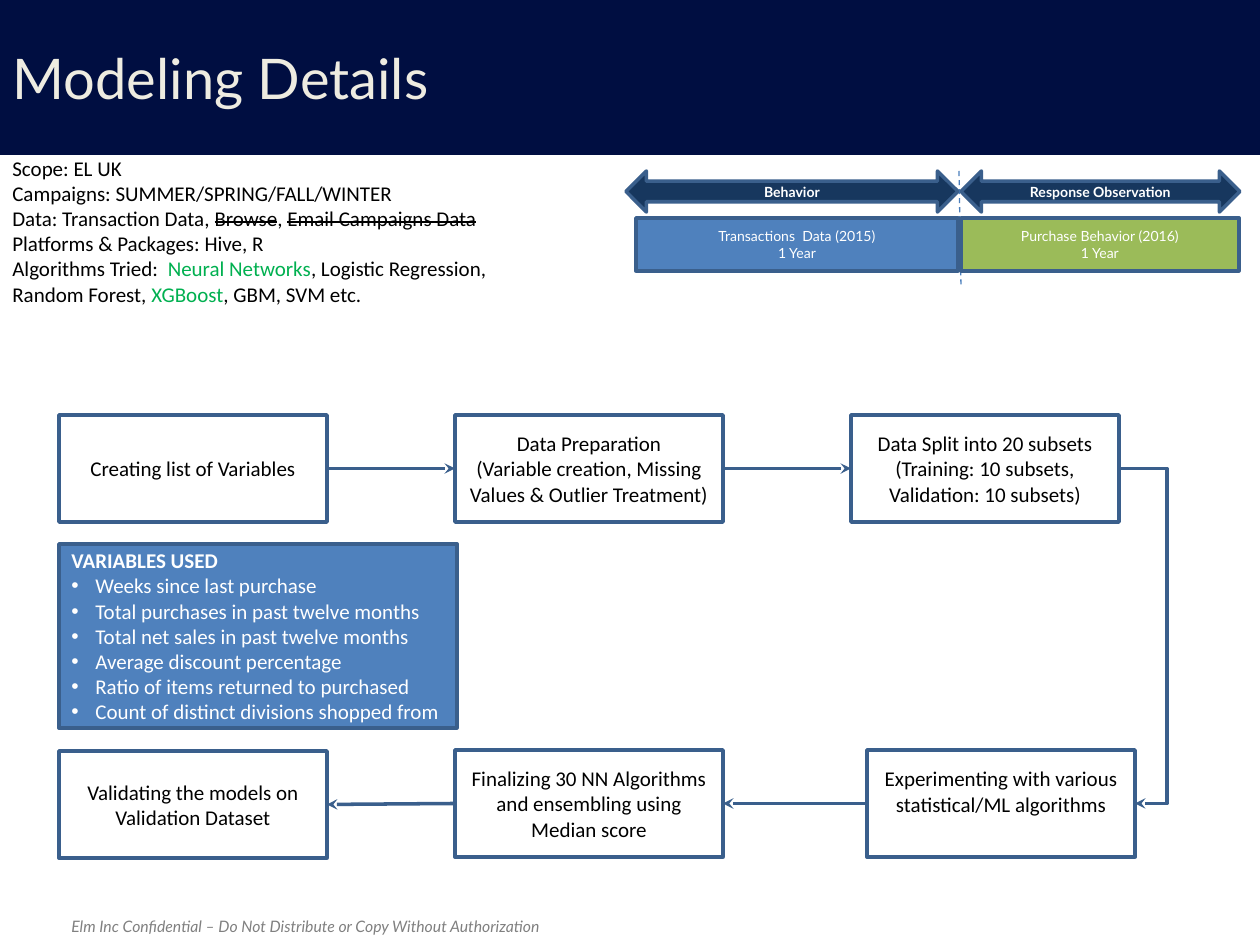
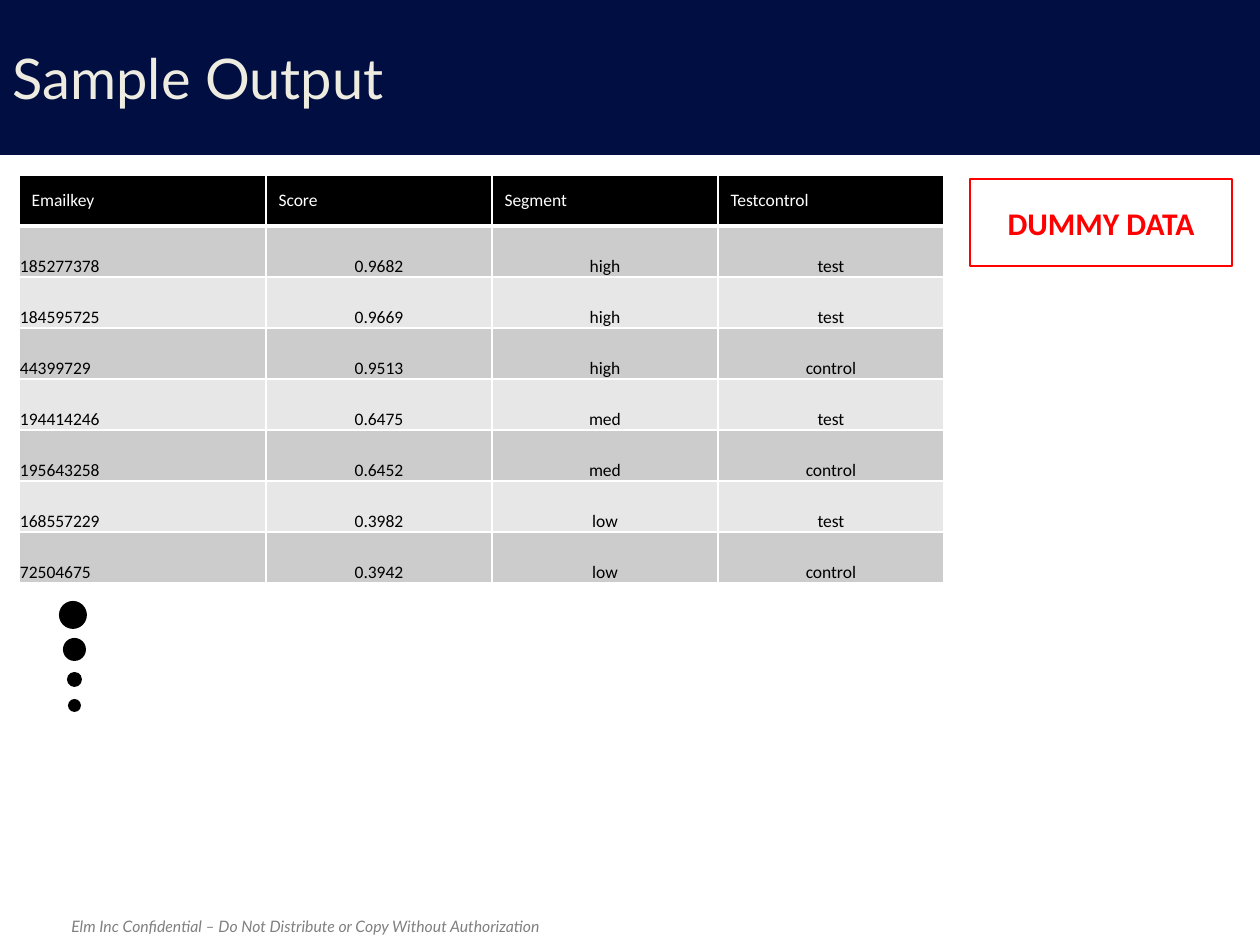
from lxml import etree
from pptx import Presentation
from pptx.dml.color import RGBColor
from pptx.enum.dml import MSO_LINE as Dash
from pptx.enum.shapes import MSO_CONNECTOR as Conn, MSO_SHAPE as Geo
from pptx.enum.text import MSO_ANCHOR as Anchor, PP_ALIGN as Align
from pptx.oxml.ns import qn
from pptx.util import Emu, Pt

SCALE = 914400 / 126
NAVY, CREAM, GREY = "000E41", "EEECE1", "808080"
EDGE, BLUE, DEEP, OLIVE = "3A5F8C", "4F81BD", "17375E", "9BBB59"
BLACK, WHITE, GREEN, RED = "000000", "FFFFFF", "00B050", "FF0000"
FOOTER = "Elm Inc Confidential – Do Not Distribute or Copy Without Authorization"
BODY = {"name": "Calibri", "size": Pt(12)}
SMALL = {"name": "Lato", "size": Pt(8)}
BOX_W, BOX_H = 268, 107
LEFT, STEP = 59, 396
TOP_ROW, LOW_ROW = 415, 750


def px(n):
    return Emu(round(n * SCALE))


def rgb(code):
    return RGBColor.from_string(code)


def apply(item, vals):
    for key, val in vals.items():
        setattr(item, key, val)


def sub(parent, tag, **attrs):
    return etree.SubElement(parent, qn(tag), attrs)


def write(frame, paras, font, color=BLACK, align=Align.LEFT, anchor=Anchor.MIDDLE):
    apply(frame, {"word_wrap": True, "vertical_anchor": anchor})
    for i, runs in enumerate(paras):
        para = frame.paragraphs[0] if i == 0 else frame.add_paragraph()
        para.alignment = align
        for part in [runs] if isinstance(runs, str) else runs:
            text, extra = (part, {}) if isinstance(part, str) else part
            run = para.add_run()
            run.text = text
            apply(run.font, font)
            run.font.color.rgb = rgb(extra.get("color", color))
            if extra.get("strike"):
                run.font._element.set("strike", "sngStrike")


def bullet(para):
    props = para._p.get_or_add_pPr()
    indent = px(24)
    props.set("marL", str(indent))
    props.set("indent", str(-indent))
    sub(props, "a:buFont", typeface="Arial")
    sub(props, "a:buChar", char="•")


def shape(slide, kind, x, y, w, h, fill=None, edge=None, width=2):
    item = slide.shapes.add_shape(kind, px(x), px(y), px(w), px(h))
    item.shadow.inherit = False
    if fill:
        item.fill.solid()
        item.fill.fore_color.rgb = rgb(fill)
    else:
        item.fill.background()
    if edge:
        item.line.color.rgb = rgb(edge)
        item.line.width = Pt(width)
    else:
        item.line.fill.background()
    return item


def label(slide, kind, place, paras, font, color, fill=None, edge=EDGE, width=2):
    item = shape(slide, kind, *place, fill, edge, width)
    write(item.text_frame, paras, font, color, Align.CENTER)
    return item


def note(slide, place, paras, font, color=BLACK):
    item = slide.shapes.add_textbox(*map(px, place))
    write(item.text_frame, paras, font, color, anchor=Anchor.TOP)


def line(slide, kind, ends, color, width):
    item = slide.shapes.add_connector(kind, *map(px, ends))
    item.line.color.rgb = rgb(color)
    item.line.width = Pt(width)
    sub(item._element.spPr, "a:effectLst")
    return item


def join(slide, start, out, end, into, kind=Conn.STRAIGHT):
    item = line(slide, kind, (0, 0, 0, 0), EDGE, 2)
    item.begin_connect(start, out)
    item.end_connect(end, into)
    sub(item.line._get_or_add_ln(), "a:tailEnd", type="stealth")
    return item


def step(slide, x, y, *paras):
    return label(slide, Geo.RECTANGLE, (x, y, BOX_W, BOX_H), paras, BODY, BLACK)


def base(deck, name):
    slide = deck.slides.add_slide(deck.slide_layouts[5])
    title = slide.shapes.title
    band = shape(slide, Geo.RECTANGLE, 0, -1, 1260, 156, NAVY)
    title.element.addprevious(band.element)
    apply(title, {"left": px(0), "top": px(6), "width": px(1260), "height": px(142)})
    write(title.text_frame, [name], {"name": "Lato", "size": Pt(32)}, CREAM)
    note(slide, (59, 911, 1171, 32), [FOOTER],
         {"name": "Lato", "size": Pt(9), "italic": True}, GREY)
    return slide


def scope(slide):
    cut, pick = {"strike": True}, {"color": GREEN}
    note(slide, (0, 149, 566, 165), [
        "Scope: EL UK",
        "Campaigns: SUMMER/SPRING/FALL/WINTER",
        ["Data: Transaction Data, ", ("Browse", cut), ", ", ("Email Campaigns Data", cut)],
        "Platforms & Packages: Hive, R",
        ["Algorithms Tried:  ", ("Neural Networks", pick),
         ", Logistic Regression, Random Forest, ", ("XGBoost", pick), ", GBM, SVM etc."],
    ], BODY)


def period(slide):
    split = line(slide, Conn.STRAIGHT, (959, 171, 961, 286), "4B7EBC", 0.75)
    split.line.dash_style = Dash.DASH
    bold = {**SMALL, "bold": True}
    for x, w, text in (626, 332, "Behavior"), (961, 279, "Response Observation"):
        label(slide, Geo.LEFT_RIGHT_ARROW, (x, 171, w, 41), [text], bold, WHITE, DEEP)
    for x, w, text, fill in ((636, 322, "Transactions  Data (2015)", BLUE),
                             (961, 278, "Purchase Behavior (2016)", OLIVE)):
        label(slide, Geo.RECTANGLE, (x, 218, w, 53), [text, "1 Year"], SMALL, WHITE, fill)


def flow(slide):
    mid, right = LEFT + STEP, LEFT + 2 * STEP
    listing = step(slide, LEFT, TOP_ROW, "Creating list of Variables")
    prep = step(slide, mid, TOP_ROW, "Data Preparation",
                "(Variable creation, Missing Values & Outlier Treatment)")
    split = step(slide, right, TOP_ROW, "Data Split into 20 subsets",
                 "(Training: 10 subsets,", "Validation: 10 subsets)")
    trial = step(slide, right + 16, LOW_ROW,
                 "Experimenting with various statistical/ML algorithms")
    trial.text_frame.margin_bottom = px(31)
    final = step(slide, mid, LOW_ROW,
                 "Finalizing 30 NN Algorithms and ensembling using Median score")
    check = step(slide, LEFT, LOW_ROW + 1, "Validating the models on", "Validation Dataset")
    for start, out, end, into in ((listing, 3, prep, 1), (prep, 3, split, 1),
                                  (trial, 1, final, 3), (final, 1, check, 3)):
        join(slide, start, out, end, into)
    bend = join(slide, split, 3, trial, 3, Conn.ELBOW)
    guides = bend._element.spPr.find(qn("a:prstGeom")).get_or_add_avLst()
    sub(guides, "a:gd", name="adj1", fmla="val 298300")


def inputs(slide):
    frame = shape(slide, Geo.RECTANGLE, 59, 544, 398, 184, BLUE, EDGE).text_frame
    write(frame, [
        "VARIABLES USED",
        "Weeks since last purchase",
        "Total purchases in past twelve months",
        "Total net sales in past twelve months",
        "Average discount percentage",
        "Ratio of items returned to purchased",
        "Count of distinct divisions shopped from",
    ], BODY, WHITE, Align.JUSTIFY)
    head, *rest = frame.paragraphs
    head.runs[0].font.bold = True
    for para in rest:
        bullet(para)


def border(cell, low):
    props = cell._tc.get_or_add_tcPr()
    for side, width in zip("LRTB", (1, 1, 1, low)):
        edge = sub(props, f"a:ln{side}", w=str(Pt(width)))
        sub(sub(edge, "a:solidFill"), "a:srgbClr", val=WHITE)


def scores(slide):
    rows = [
        ("Emailkey", "Score", "Segment", "Testcontrol"),
        ("185277378", "0.9682", "high", "test"),
        ("184595725", "0.9669", "high", "test"),
        ("44399729", "0.9513", "high", "control"),
        ("194414246", "0.6475", "med", "test"),
        ("195643258", "0.6452", "med", "control"),
        ("168557229", "0.3982", "low", "test"),
        ("72504675", "0.3942", "low", "control"),
    ]
    widths = (247, 226, 226, 226)
    high = 51
    table = slide.shapes.add_table(len(rows), len(widths), px(19), px(175),
                                   px(sum(widths)), px(high * len(rows))).table
    for col, width in zip(table.columns, widths):
        col.width = px(width)
    tight = {"margin_left": px(1), "margin_right": px(1),
             "margin_top": px(1), "margin_bottom": px(0)}
    for r, row in enumerate(rows):
        table.rows[r].height = px(high)
        fill = ("E7E7E7", "CCCCCC")[r % 2] if r else BLACK
        for c, text in enumerate(row):
            cell = table.cell(r, c)
            border(cell, 1 if r else 3)
            cell.fill.solid()
            cell.fill.fore_color.rgb = rgb(fill)
            write(cell.text_frame, [text], {"name": "Calibri", "size": Pt(10), "bold": False},
                  BLACK if r else WHITE, Align.CENTER if r and c else Align.LEFT)
            cell.vertical_anchor = Anchor.BOTTOM if r else Anchor.MIDDLE
            if r:
                apply(cell, tight)


def dots(slide):
    for x, y, size in (59, 601, 28), (63, 638, 23), (67, 672, 15), (68, 699, 13):
        shape(slide, Geo.OVAL, x, y, size, size, BLACK)


def main():
    deck = Presentation()
    apply(deck, {"slide_width": px(1260), "slide_height": px(945)})
    model = base(deck, "Modeling Details")
    scope(model)
    flow(model)
    inputs(model)
    period(model)
    sample = base(deck, "Sample Output")
    scores(sample)
    dots(sample)
    label(sample, Geo.RECTANGLE, (970, 179, 262, 87), ["DUMMY DATA"],
          {"name": "Calibri", "size": Pt(18), "bold": True}, RED, edge=RED, width=1)
    deck.save("out.pptx")


if __name__ == "__main__":
    main()
